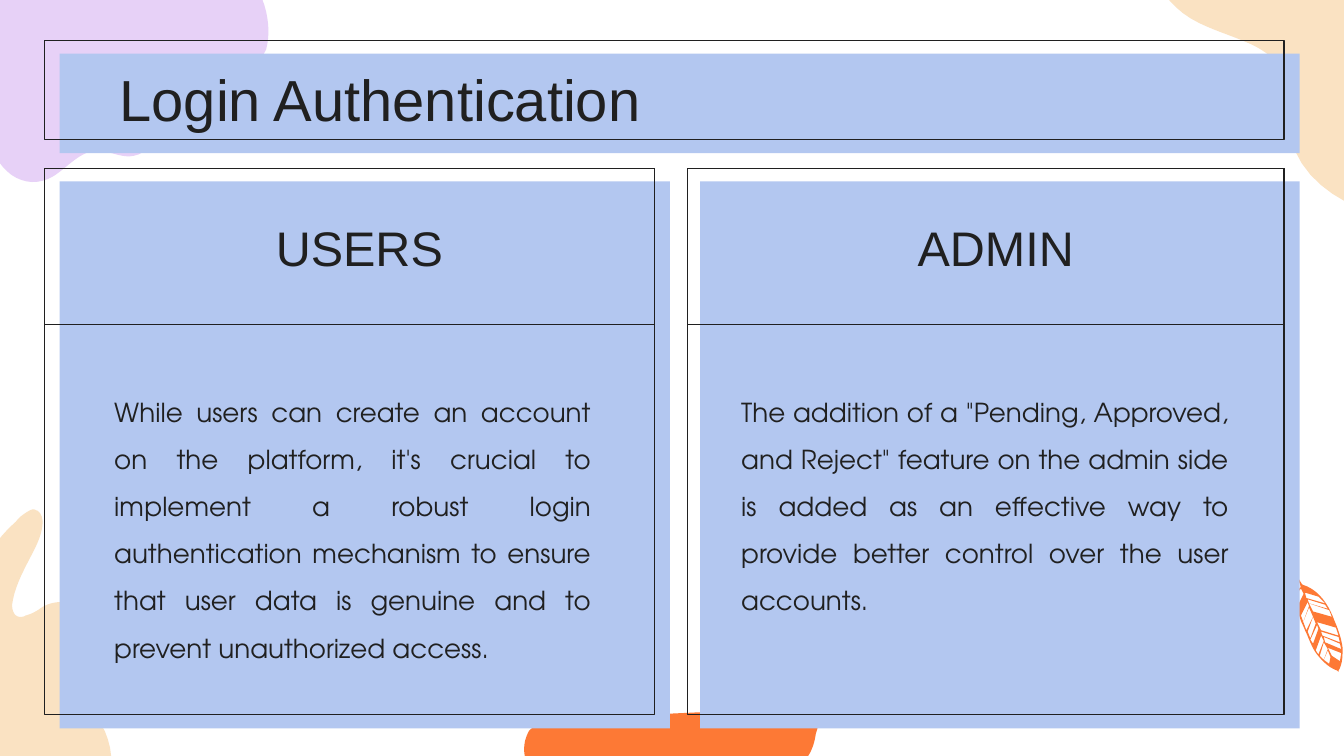
from dataclasses import dataclass

from pptx import Presentation
from pptx import util as u
from pptx.dml.color import RGBColor
from pptx.enum import shapes, text
from pptx.oxml.ns import qn


@dataclass(frozen=True)
class Theme:
    """Colours, fonts and type sizes."""
    ink: str = "202020"
    panel: str = "B3C7F0"
    peach: str = "FAE2C2"
    orange: str = "FD7935"
    lilac: str = "E7D1F7"
    display: str = "Arial"
    body: str = "TeX Gyre Adventor"
    title_size: int = 31
    heading_size: int = 26
    body_size: int = 14


T = Theme()
WIDTH = u.Inches(10)
HEIGHT = u.Emu(WIDTH * 9 // 16)
COLS, ROWS = 1000, 562.5

LEFT_BLOB = """25 379 23 379 22 380 20 381 17 383 14 385 12 388 -7 404 -20 431 -28 453
 -37 480 -39 510 -31 538 -23 568 5 608 38 608 47 608 55 605 64 599 84 586 87 565 78 544
 68 524 47 509 51 484 52 477 55 470 56 462 56 452 52 448 45 448 41 448 36 449 31 452
 27 455 23 457 19 458 18 459 16 459 15 459 11 459 9 455 9 450 11 435 19 422 26 408
 29 402 36 386 28 380 27 380 26 379 25 379"""
BOTTOM_BLOB = """595 527 593 527 590 527 588 527 531 530 473 531 418 537 405 538 395 540 393 545
 388 555 389 566 397 576 399 578 402 580 407 582 413 584 420 584 428 584
 447 584 461 584 474 584 502 583 529 583 556 581 580 580 592 574 598 567
 604 560 606 553 607 546 608 543 609 539 610 536 611 533 612 530 605 528
 602 527 599 527 595 527"""
LILAC_BLOB = """196 42 196 40 197 39 198 37 202 23 199 4 191 -9 181 -27 164 -38 144 -41
 136 -42 128 -43 120 -43 94 -45 66 -44 40 -37 24 -32 8 -24 -3 -12 -6 -9 -8 -5 -10 -2
 -25 23 -21 54 -15 81 -12 96 -8 112 2 124 12 136 27 139 40 131 51 124 60 112 73 112
 85 113 92 119 103 115 132 104 131 67 163 59 175 54 189 53 196 42"""
RIGHT_BLOB = """988 -99 956 -99 924 -94 895 -87 887 -85 880 -83 873 -80 873 -80 873 -79 872 -79
 857 -70 853 -52 854 -36 857 -13 871 7 892 17 904 23 918 27 931 33 940 37 949 44 955 52
 963 63 959 78 959 91 960 129 997 154 1032 161 1037 162 1042 162 1047 162
 1061 162 1075 159 1086 150 1107 133 1110 106 1110 82 1110 51 1106 20 1100 -10
 1096 -33 1090 -57 1074 -73 1060 -87 1041 -94 1022 -97 1011 -98 999 -99 988 -99"""
LEAF = """964 427 966 431 967 434 968 437 967 437 967 438 966 439 963 442 963 447 964 451
 964 454 966 457 967 459 968 463 970 466 971 469 974 475 976 482 980 487
 984 492 989 497 995 499 996 500 996 500 996 499 999 494 999 488 999 482
 998 475 996 469 993 462 989 451 982 439 969 435 967 432 966 430 964 427"""
LEAF_GAPS = (
    "967 439 968 438 970 442 965 452 964 446",
    "971 441 981 444 986 449 972 445",
    "973 448 974 451 970 462 974 452 977 459 972 469 968 458",
    "973 446 986 450 988 453 974 449",
    "974 449 989 454 991 459 977 455",
    "977 459 979 464 975 475 973 470",
    "980 465 981 468 977 479 975 476",
    "980 463 994 467 996 473 983 469",
    "983 470 996 474 997 478 984 473",
    "985 474 997 479 998 483 986 478",
    "983 473 985 477 981 487 979 484",
    "985 478 988 483 985 491 982 488",
    "988 484 990 489 989 494 985 491",
    "988 482 998 486 997 492 991 488",
)

USERS = ("While users can create an account on the platform, it's crucial to implement a robust "
         "login authentication mechanism to ensure that user data is genuine and to prevent "
         "unauthorized access.")
ADMIN = ('The addition of a "Pending, Approved, and Reject" feature on the admin side is added '
         "as an effective way to provide better control over the user accounts. ")


def place(x, y):
    """Turn a grid point into slide lengths."""
    return round(x * WIDTH / COLS), round(y * HEIGHT / ROWS)


def points(data):
    """Read a list of grid points."""
    n = [int(v) for v in data.split()]
    return list(zip(n[::2], n[1::2]))


def curve(data, steps=10):
    """Follow a chain of cubic curves with short segments."""
    pts = points(data)
    out = pts[:1]
    for i in range(0, len(pts) - 1, 3):
        for k in range(1, steps + 1):
            t = k / steps
            weights = ((1 - t) ** 3, 3 * t * (1 - t) ** 2, 3 * t * t * (1 - t), t ** 3)
            out.append(tuple(sum(w * p[a] for w, p in zip(weights, pts[i:i + 4])) for a in (0, 1)))
    return out


def blob(s, data, color, gaps=()):
    """Draw a curved outline with optional gaps cut out."""
    edge = [place(*p) for p in curve(data)]
    fb = s.shapes.build_freeform(*edge[0], scale=1.0)
    fb.add_line_segments(edge[1:], close=True)
    for gap in gaps:
        first, *rest = [place(*p) for p in points(gap)]
        fb.move_to(*first)
        fb.add_line_segments(rest, close=True)
    sp = fb.convert_to_shape()
    sp.shadow.inherit = False
    sp.fill.solid()
    sp.fill.fore_color.rgb = RGBColor.from_string(color)
    sp.line.fill.background()


def outline(sp):
    """Give a shape the thin dark frame line."""
    sp.line.color.rgb = RGBColor.from_string(T.ink)
    sp.line.width = u.Pt(0.75)


def panel(s, frame, fill):
    """Draw a filled panel and its offset frame."""
    back, front = (s.shapes.add_shape(shapes.MSO_SHAPE.RECTANGLE, *place(*b[:2]), *place(*b[2:]))
                   for b in (fill, frame))
    for sp in (back, front):
        sp.shadow.inherit = False
    back.fill.solid()
    back.fill.fore_color.rgb = RGBColor.from_string(T.panel)
    back.line.fill.background()
    front.fill.background()
    outline(front)


def write(s, ph, box, words, font, size, align, anchor):
    """Move a placeholder to the front and set its text."""
    s.shapes.element.append(ph.element)
    ph.left, ph.top = place(*box[:2])
    ph.width, ph.height = place(*box[2:])
    tf = ph.text_frame
    tf.text = words
    tf.word_wrap = True
    tf.auto_size = text.MSO_AUTO_SIZE.NONE
    tf.vertical_anchor = anchor
    tf.margin_left = tf.margin_top = tf.margin_right = tf.margin_bottom = u.Inches(0.1)
    p = tf.paragraphs[0]
    p.alignment = align
    p.space_before = u.Pt(0)
    p.font.name, p.font.size, p.font.bold = font, u.Pt(size), False
    p.font.color.rgb = RGBColor.from_string(T.ink)
    return p


def indent(p, left, first):
    """Set paragraph indents in inches and drop the bullet."""
    pPr = p._p.get_or_add_pPr()
    pPr.set("marL", str(u.Inches(left)))
    pPr.set("indent", str(u.Inches(first)))
    pPr.insert_element_before(pPr.makeelement(qn("a:buNone"), {}), "a:tabLst", "a:defRPr", "a:extLst")


def title_bar(s, frame, fill, words):
    """Draw the title bar."""
    x, y, w, h = frame
    panel(s, frame, fill)
    write(s, s.shapes.title, (x + 46, y + 12, w - 79, h - 12), words, T.display, T.title_size,
          text.PP_ALIGN.LEFT, text.MSO_ANCHOR.MIDDLE)


def card(s, frame, fill, pads, first_idx, heading, words):
    """Draw a card with a framed heading above its body text."""
    x, y, w, h = frame
    left, right = pads
    head, body = (s.placeholders[i] for i in (first_idx, first_idx + 1))
    panel(s, frame, fill)
    p = write(s, head, (x, y, w, 116), heading, T.display, T.heading_size,
              text.PP_ALIGN.CENTER, text.MSO_ANCHOR.MIDDLE)
    indent(p, 0.5, -0.35)
    outline(head)
    p = write(s, body, (x + left, y + 148, w - left - right, 174), words, T.body, T.body_size,
              text.PP_ALIGN.JUSTIFY, text.MSO_ANCHOR.TOP)
    p.line_spacing, p.space_after = 1.5, u.Pt(16)
    indent(p, 0, 0)


def backdrop(s):
    """Draw the organic shapes and the leaf."""
    blob(s, LEFT_BLOB, T.peach)
    blob(s, BOTTOM_BLOB, T.orange)
    blob(s, LILAC_BLOB, T.lilac)
    blob(s, RIGHT_BLOB, T.peach)
    blob(s, LEAF, T.orange, LEAF_GAPS)


def main():
    """Build and save the slide."""
    prs = Presentation()
    prs.slide_width, prs.slide_height = WIDTH, HEIGHT
    s = prs.slides.add_slide(prs.slide_layouts.get_by_name("Comparison"))
    heads = [ph.placeholder_format.idx for ph in s.placeholders][1::2]
    backdrop(s)
    title_bar(s, (33, 30, 922.5, 74), (44.5, 40, 922.5, 74), "Login Authentication")
    card(s, (33, 125.5, 454, 406), (44.5, 135, 454, 407), (42, 37), heads[0], "USERS", USERS)
    card(s, (511.5, 125.5, 444, 406), (521, 135, 446, 407), (30, 31), heads[1], "ADMIN", ADMIN)
    prs.save("out.pptx")


if __name__ == "__main__":
    main()
